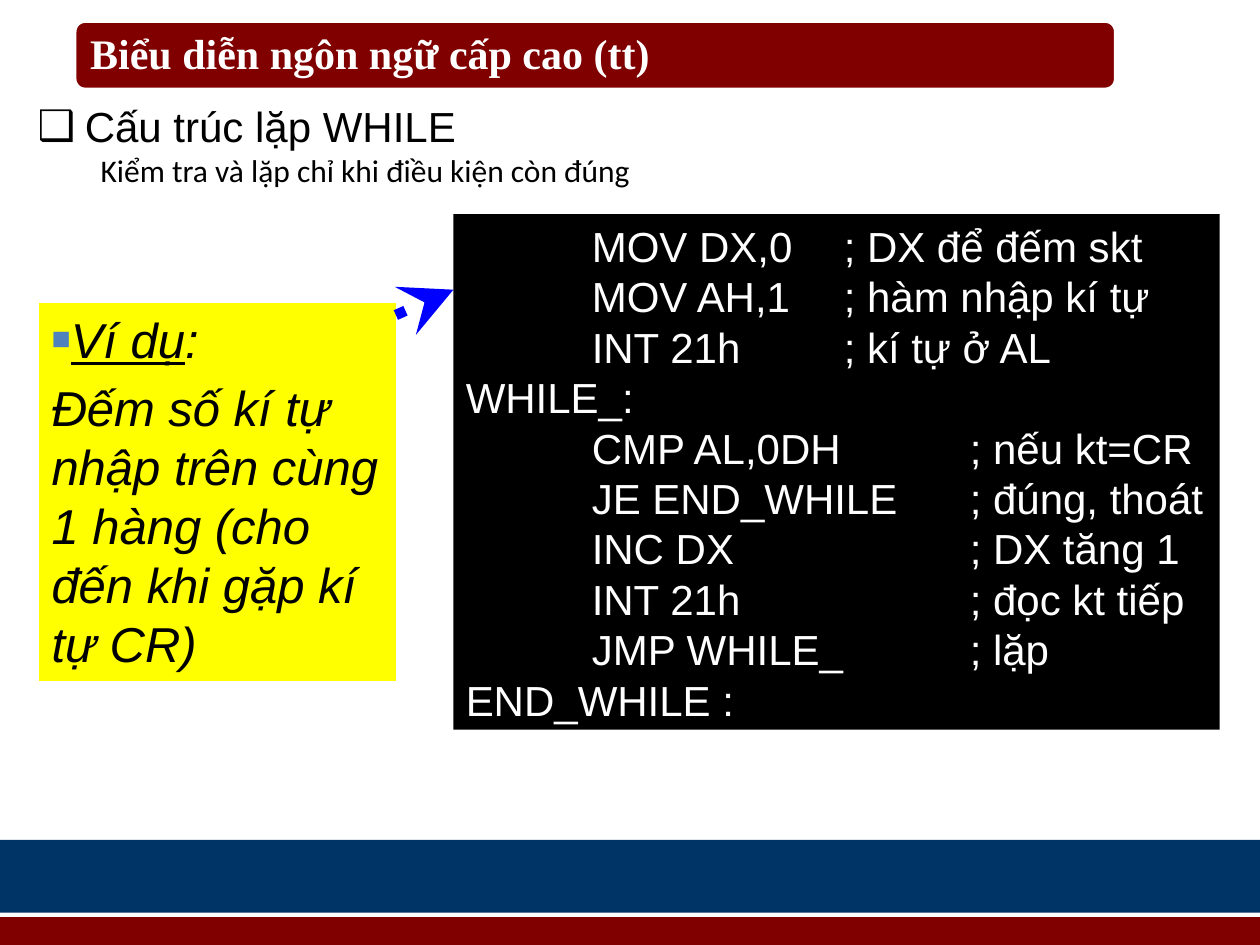
from lxml.etree import SubElement
from pptx import Presentation
from pptx.dml.color import RGBColor
from pptx.enum.dml import MSO_LINE
from pptx.enum.shapes import MSO_CONNECTOR, MSO_SHAPE
from pptx.enum.text import MSO_ANCHOR, PP_ALIGN
from pptx.oxml.ns import qn
from pptx.util import Cm, Pt

MAROON = RGBColor(0x80, 0x00, 0x00)
NAVY = RGBColor(0x00, 0x33, 0x66)
BLACK = RGBColor(0x00, 0x00, 0x00)
WHITE = RGBColor(0xFF, 0xFF, 0xFF)
YELLOW = RGBColor(0xFF, 0xFF, 0x00)
BLUE = RGBColor(0x00, 0x00, 0xFF)
BULLET_BLUE = RGBColor(0x4F, 0x81, 0xBD)

TAB_STEP = 2.54
CODE_LINES = [
    "\tMOV DX,0 \t; DX để đếm skt",
    "\tMOV AH,1 \t; hàm nhập kí tự",
    "\tINT 21h \t; kí tự ở AL",
    "WHILE_:",
    "\tCMP AL,0DH \t; nếu kt=CR",
    "\tJE END_WHILE \t; đúng, thoát",
    "\tINC DX \t\t; DX tăng 1",
    "\tINT 21h \t\t; đọc kt tiếp",
    "\tJMP WHILE_ \t; lặp",
    "END_WHILE :",
]


def add_panel(slide, kind, left, top, width, height, fill):
    panel = slide.shapes.add_shape(kind, Cm(left), Cm(top), Cm(width), Cm(height))
    panel.shadow.inherit = False
    panel.fill.solid()
    panel.fill.fore_color.rgb = fill
    panel.line.fill.background()
    frame = panel.text_frame
    frame.word_wrap = True
    frame.vertical_anchor = MSO_ANCHOR.TOP
    return panel


def add_plain_text(slide, left, top, width, height):
    """Add a text box without insets and return its text frame."""
    frame = slide.shapes.add_textbox(Cm(left), Cm(top), Cm(width), Cm(height)).text_frame
    frame.word_wrap = True
    frame.margin_left = frame.margin_right = 0
    frame.margin_top = frame.margin_bottom = 0
    return frame


def next_paragraph(frame):
    """Return the first paragraph while it is empty, else a new one."""
    first = frame.paragraphs[0]
    paragraph = frame.add_paragraph() if first.runs else first
    paragraph.alignment = PP_ALIGN.LEFT
    return paragraph


def add_run(paragraph, text, size, color, font="Arial", bold=False, italic=False, underline=False):
    run = paragraph.add_run()
    run.text = text
    run.font.name = font
    run.font.size = Pt(size)
    run.font.color.rgb = color
    run.font.bold = bold
    run.font.italic = italic
    run.font.underline = underline


def set_indent(paragraph, left, first_line=0):
    properties = paragraph._p.get_or_add_pPr()
    properties.set("marL", str(Cm(left)))
    properties.set("indent", str(Cm(first_line)))


def set_tab_stops(paragraph, step, count):
    stops = SubElement(paragraph._p.get_or_add_pPr(), qn("a:tabLst"))
    for number in range(1, count + 1):
        SubElement(stops, qn("a:tab"), pos=str(Cm(step * number)), algn="l")


def set_bullet(paragraph, char, color=None, percent=100):
    properties = paragraph._p.get_or_add_pPr()
    if color is not None:
        holder = SubElement(properties, qn("a:buClr"))
        SubElement(holder, qn("a:srgbClr"), val=str(color))
    SubElement(properties, qn("a:buSzPct"), val=str(percent * 1000))
    SubElement(properties, qn("a:buFont"), typeface="Arial")
    SubElement(properties, qn("a:buChar"), char=char)


def add_dotted_arrow(slide, start_x, start_y, end_x, end_y):
    arrow = slide.shapes.add_connector(
        MSO_CONNECTOR.STRAIGHT, Cm(start_x), Cm(start_y), Cm(end_x), Cm(end_y))
    arrow.line.color.rgb = BLUE
    arrow.line.width = Pt(6)
    arrow.line.dash_style = MSO_LINE.ROUND_DOT
    SubElement(arrow.line._get_or_add_ln(), qn("a:tailEnd"), type="stealth", w="lg", len="lg")
    SubElement(arrow._element.spPr, qn("a:effectLst"))


def add_title(slide):
    banner = add_panel(slide, MSO_SHAPE.ROUNDED_RECTANGLE, 1.49, 0.41, 21.02, 1.41, MAROON)
    banner.adjustments[0] = 0.16
    banner.line.color.rgb = WHITE
    banner.line.width = Pt(3)
    title = next_paragraph(add_plain_text(slide, 1.82, 0.56, 22.86, 0.84))
    add_run(title, "Biểu diễn ngôn ngữ cấp cao (tt)", 24, WHITE, "Times New Roman", bold=True)


def add_introduction(slide):
    frame = add_plain_text(slide, 0.76, 2.03, 23.93, 1.8)
    topic = next_paragraph(frame)
    set_indent(topic, 0.95, -0.95)
    set_bullet(topic, "❑")
    add_run(topic, "Cấu trúc lặp WHILE", 24, BLACK)
    detail = next_paragraph(frame)
    detail.level = 1
    set_indent(detail, 1.27)
    add_run(detail, "Kiểm tra và lặp chỉ khi điều kiện còn đúng", 18, BLACK, "Calibri")


def add_code(slide):
    code = add_panel(slide, MSO_SHAPE.RECTANGLE, 9.14, 4.32, 15.45, 10.39, BLACK)
    for line in CODE_LINES:
        instruction = next_paragraph(code.text_frame)
        set_tab_stops(instruction, TAB_STEP, 4)
        add_run(instruction, line, 24, WHITE)


def add_example(slide):
    example = add_panel(slide, MSO_SHAPE.RECTANGLE, 0.79, 6.11, 7.19, 7.62, YELLOW)
    heading = next_paragraph(example.text_frame)
    heading.space_before = Pt(5.6)
    set_bullet(heading, "■", BULLET_BLUE, 65)
    add_run(heading, "Ví dụ", 28, BLACK, italic=True, underline=True)
    add_run(heading, ":", 28, BLACK, italic=True)
    task = next_paragraph(example.text_frame)
    task.space_before = Pt(5.6)
    add_run(task, "Đếm số kí tự nhập trên cùng 1 hàng (cho đến khi gặp kí tự CR)",
            28, BLACK, italic=True)


def main():
    deck = Presentation()
    deck.slide_width, deck.slide_height = Cm(25.4), Cm(19.05)
    slide = deck.slides.add_slide(deck.slide_layouts[6])
    add_panel(slide, MSO_SHAPE.RECTANGLE, 0, 18.49, 25.4, 0.56, MAROON)
    add_panel(slide, MSO_SHAPE.RECTANGLE, 0, 16.93, 25.4, 1.47, NAVY)
    add_title(slide)
    add_introduction(slide)
    add_code(slide)
    add_example(slide)
    add_dotted_arrow(slide, 7.98, 6.35, 9.14, 5.84)
    deck.save("out.pptx")


if __name__ == "__main__":
    main()
